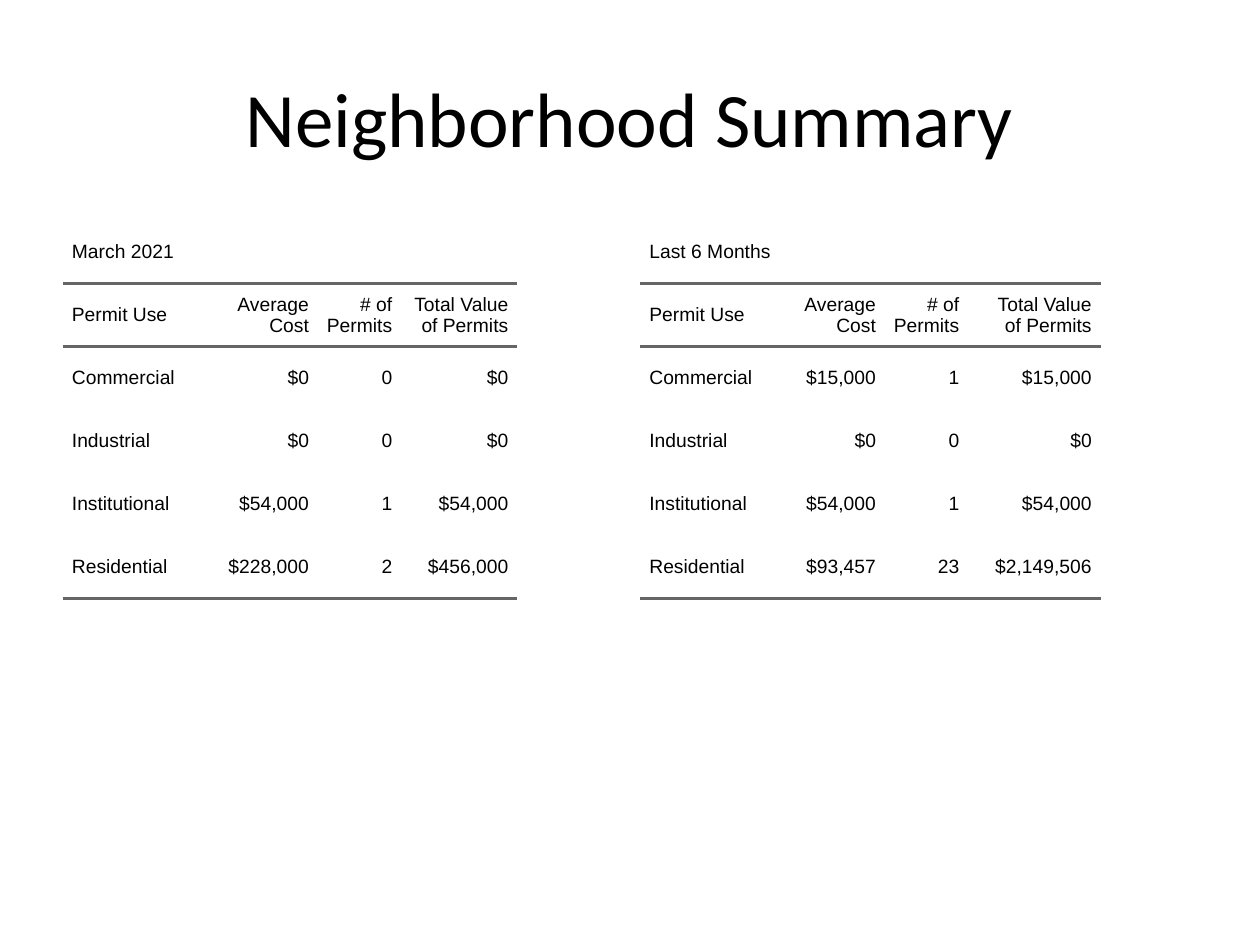
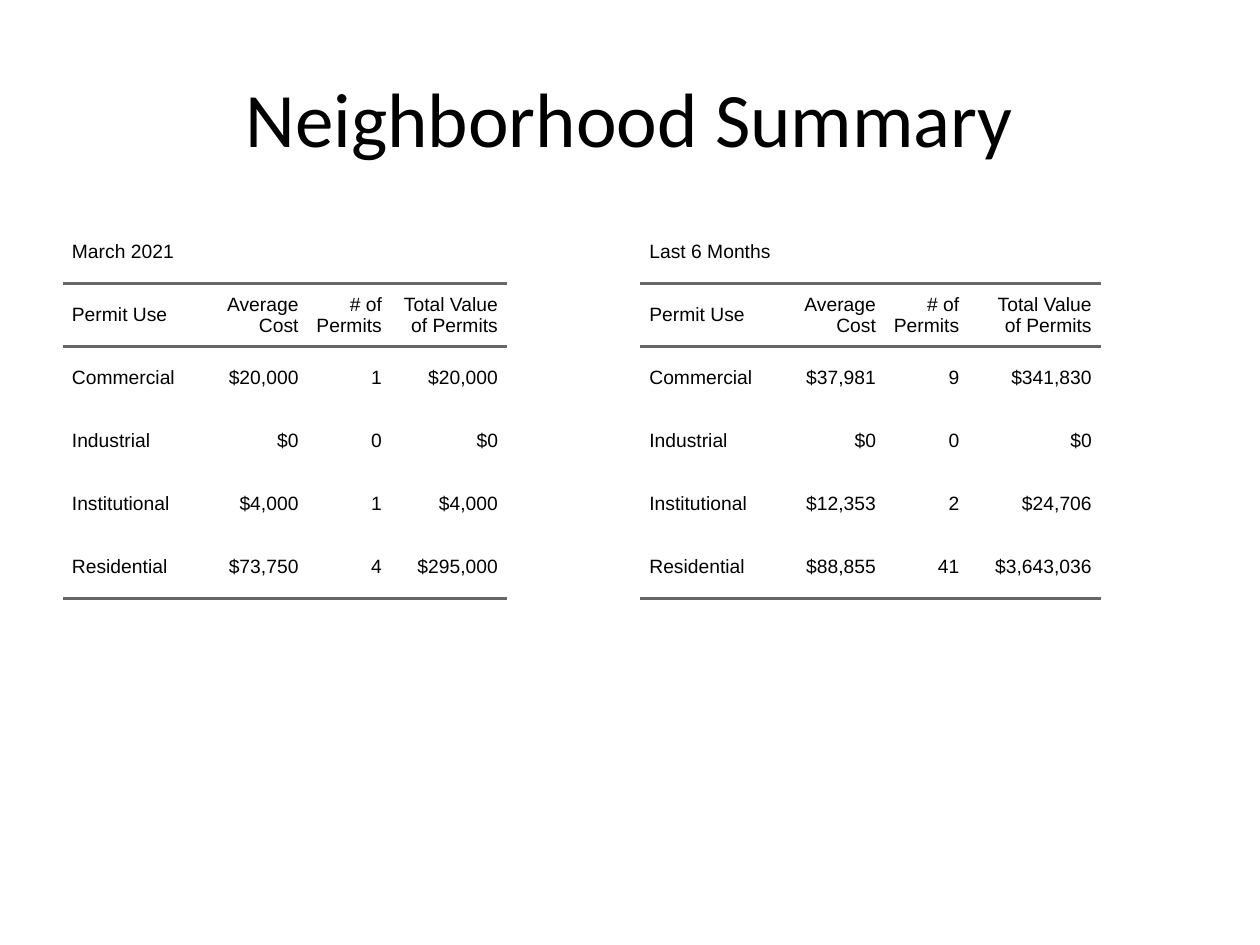
"""Build two neighborhood permit summary slides, each with a monthly and a six-month table."""
from dataclasses import dataclass

from lxml.etree import SubElement
from pptx import Presentation
from pptx.dml.color import RGBColor
from pptx.enum.text import MSO_ANCHOR, PP_ALIGN
from pptx.oxml.ns import qn
from pptx.util import Cm, Pt

TITLE = "Neighborhood Summary"
PERIODS = ("March 2021", "Last 6 Months")
HEADERS = ("Permit Use", "Average Cost", "# of Permits", "Total Value of Permits")
USES = ("Commercial", "Industrial", "Institutional", "Residential")

NEIGHBORHOODS = (
    (
        ((0, 0, 0), (0, 0, 0), (54000, 1, 54000), (228000, 2, 456000)),
        ((15000, 1, 15000), (0, 0, 0), (54000, 1, 54000), (93457, 23, 2149506)),
    ),
    (
        ((20000, 1, 20000), (0, 0, 0), (4000, 1, 4000), (73750, 4, 295000)),
        ((37981, 9, 341830), (0, 0, 0), (12353, 2, 24706), (88855, 41, 3643036)),
    ),
)


@dataclass(frozen=True)
class Theme:
    ink: RGBColor = RGBColor(0, 0, 0)
    rule_color: str = "666666"
    rule_width: int = Pt(2)
    title_font: str = "Calibri"
    title_size: int = Pt(44)
    table_font: str = "Arial"
    table_size: int = Pt(11)


THEME = Theme()
TITLE_BOX = (Cm(1.27), Cm(0.76), Cm(22.86), Cm(3.18))
TABLE_LEFTS = (Cm(1.27), Cm(12.91))
TABLE_TOP = Cm(4.45)
ROW_HEIGHT = Cm(1.27)
CELL_MARGIN = Cm(0.18)
USE_WIDTH = Cm(2.8)
COUNT_WIDTH = Cm(1.68)
MONEY_WIDTHS = {7: Cm(2.13), 8: Cm(2.34), 10: Cm(2.67)}
PLAIN_TABLE_STYLE = "{2D5ABB26-0587-4C30-8999-92F81FD0307C}"


def style_text(para, font_name, size, align):
    para.alignment = align
    for span in para.runs:
        span.font.name = font_name
        span.font.size = size
        span.font.color.rgb = THEME.ink


def add_title(page):
    title = page.shapes.title
    title.left, title.top, title.width, title.height = TITLE_BOX
    title.text_frame.text = TITLE
    title.text_frame.vertical_anchor = MSO_ANCHOR.MIDDLE
    style_text(title.text_frame.paragraphs[0], THEME.title_font, THEME.title_size, PP_ALIGN.CENTER)


def add_rule(cell, side):
    line = SubElement(cell._tc.get_or_add_tcPr(), qn(f"a:{side}"), w=str(THEME.rule_width))
    fill = SubElement(line, qn("a:solidFill"))
    SubElement(fill, qn("a:srgbClr"), val=THEME.rule_color)


def fill_cell(cell, text, align, rules):
    cell.text_frame.text = text
    cell.vertical_anchor = MSO_ANCHOR.MIDDLE
    cell.margin_left = cell.margin_right = CELL_MARGIN
    cell.margin_top = cell.margin_bottom = 0
    for side in rules:
        add_rule(cell, side)
    cell.fill.background()
    style_text(cell.text_frame.paragraphs[0], THEME.table_font, THEME.table_size, align)


def money_width(rows, column):
    return MONEY_WIDTHS[max(len(row[column]) for row in rows)]


def add_permit_table(page, left, period, figures):
    body = [
        (use, f"${cost:,}", str(count), f"${total:,}")
        for use, (cost, count, total) in zip(USES, figures)
    ]
    rows = [(period, "", "", ""), HEADERS, *body]
    widths = (USE_WIDTH, money_width(body, 1), COUNT_WIDTH, money_width(body, 3))
    rules = {1: ("lnT", "lnB"), len(rows) - 1: ("lnB",)}

    frame = page.shapes.add_table(
        len(rows), len(widths), left, TABLE_TOP, sum(widths), ROW_HEIGHT * len(rows)
    )
    table = frame.table
    table.first_row = table.horz_banding = False
    table._tbl.tblPr.find(qn("a:tableStyleId")).text = PLAIN_TABLE_STYLE
    for column, width in zip(table.columns, widths):
        column.width = width
    for row_index, row in enumerate(rows):
        table.rows[row_index].height = ROW_HEIGHT
        for column_index, text in enumerate(row):
            align = PP_ALIGN.RIGHT if column_index else PP_ALIGN.LEFT
            fill_cell(table.cell(row_index, column_index), text, align, rules.get(row_index, ()))
    table.cell(0, 0).merge(table.cell(0, len(widths) - 1))


def main():
    deck = Presentation()
    deck.slide_width, deck.slide_height = Cm(25.4), Cm(19.05)
    title_only = deck.slide_layouts.get_by_name("Title Only")
    for neighborhood in NEIGHBORHOODS:
        page = deck.slides.add_slide(title_only)
        add_title(page)
        for left, period, figures in zip(TABLE_LEFTS, PERIODS, neighborhood):
            add_permit_table(page, left, period, figures)
    deck.save("out.pptx")


if __name__ == "__main__":
    main()
